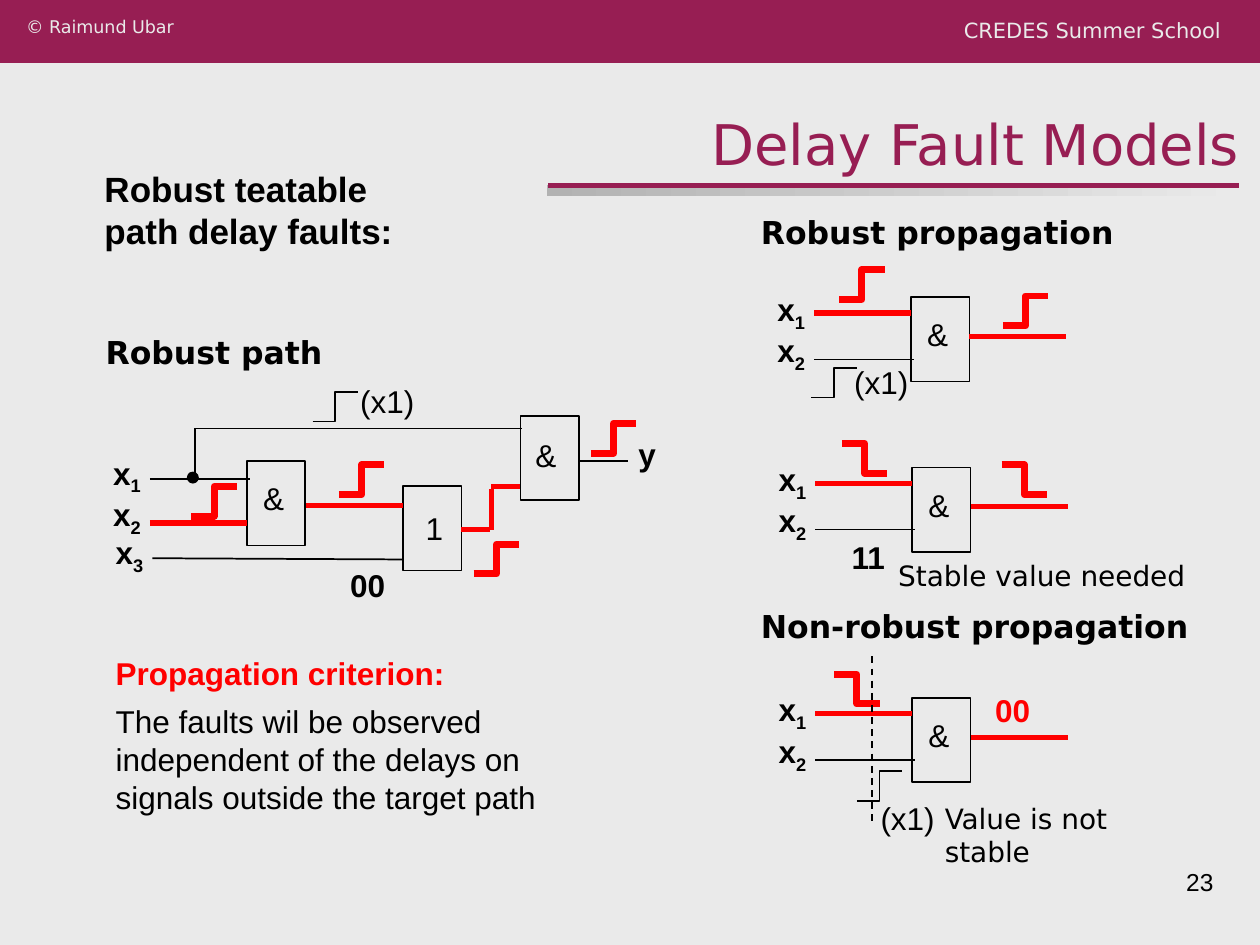
import pptx
import pptx.dml.color
import pptx.enum.dml
import pptx.enum.shapes
import pptx.enum.text
import pptx.oxml.ns
import pptx.util
from lxml import etree

Pt = pptx.util.Pt
ALIGN = pptx.enum.text.PP_ALIGN
ANCHOR = pptx.enum.text.MSO_ANCHOR
SHAPE = pptx.enum.shapes.MSO_SHAPE
CONNECTOR = pptx.enum.shapes.MSO_CONNECTOR

COLORS = {
    "paper": "EAEAEA",
    "plum": "971E53",
    "gray": "B2B2B2",
    "black": "000000",
    "red": "FF0000",
}
SANS, WIDE = "Arial", "DejaVu Sans"
GATE_WIDTH, GATE_HEIGHT = 33.4, 48.2
STEP_WIDTH, STEP_HEIGHT = 26, 17


def rgb(color):
    return pptx.dml.color.RGBColor.from_string(COLORS[color])


def style_paragraph(paragraph, size, font, color, bold, align=None):
    paragraph.alignment = align
    for run in paragraph.runs:
        run.font.size = Pt(size)
        run.font.name = font
        run.font.bold = bold
        run.font.color.rgb = rgb(color)


def add_text(slide, text, left, top, width, height, size=18, font=SANS,
             color="black", bold=False, align=None, middle=False, wrap=True):
    box = slide.shapes.add_textbox(Pt(left), Pt(top), Pt(width), Pt(height))
    frame = box.text_frame
    frame.word_wrap = wrap
    frame.vertical_anchor = ANCHOR.MIDDLE if middle else ANCHOR.TOP
    frame.text = text
    style_paragraph(frame.paragraphs[0], size, font, color, bold, align)
    return frame


def add_signal_name(slide, index, left, top):
    """Write x with a subscript index."""
    frame = add_text(slide, "x", left, top, 31.7, 31.7, bold=True, middle=True)
    paragraph = frame.paragraphs[0]
    subscript = paragraph.add_run()
    subscript.text = str(index)
    style_paragraph(paragraph, 18, SANS, "black", True)
    subscript.font._element.set("baseline", "-25000")


def add_block(slide, kind, left, top, width, height, fill, line=None):
    block = slide.shapes.add_shape(kind, Pt(left), Pt(top), Pt(width), Pt(height))
    block.shadow.inherit = False
    block.fill.solid()
    block.fill.fore_color.rgb = rgb(fill)
    if line:
        block.line.color.rgb = rgb(line)
        block.line.width = Pt(1)
    else:
        block.line.fill.background()
    return block


def add_wire(slide, x1, y1, x2, y2, color="black", width=1,
             kind=CONNECTOR.STRAIGHT, dashed=False):
    wire = slide.shapes.add_connector(kind, Pt(x1), Pt(y1), Pt(x2), Pt(y2))
    wire.line.color.rgb = rgb(color)
    wire.line.width = Pt(width)
    if dashed:
        wire.line.dash_style = pptx.enum.dml.MSO_LINE.DASH
    etree.SubElement(wire._element.spPr, pptx.oxml.ns.qn("a:effectLst"))


def add_step(slide, left, top, color="red", rising=True):
    """Draw a signal edge, thick on the path under test."""
    start, end = top, top + STEP_HEIGHT
    if rising:
        start, end = end, start
    add_wire(slide, left, start, left + STEP_WIDTH, end, color,
             4 if color == "red" else 1, CONNECTOR.ELBOW)


def add_gate(slide, left, top, sign="&", dx=2.2, dy=6.8):
    add_block(slide, SHAPE.RECTANGLE, left, top, GATE_WIDTH, GATE_HEIGHT,
              "paper", "black")
    add_text(slide, sign, left + dx, top + dy, 25.5, 28.8,
             middle=True, wrap=False)


def add_and_example(slide, left, top):
    """Draw an AND gate with inputs x1 and x2 and a red output."""
    add_gate(slide, left, top)
    input_start, output_start = left - 55.4, left + GATE_WIDTH
    add_wire(slide, input_start, top + 9, left, top + 9, "red", 3)
    add_wire(slide, input_start, top + 35.5, left + 1.8, top + 35.5)
    add_wire(slide, output_start, top + 22.5, output_start + 55.4, top + 22.5,
             "red", 3)
    for index, offset in ((1, -7.9), (2, 15.8)):
        add_signal_name(slide, index, left - 83.5, top + offset)


def add_header(slide):
    add_block(slide, SHAPE.RECTANGLE, 0, 0, 720, 36, "plum")
    underline = add_block(slide, SHAPE.RECTANGLE, 312.5, 105.8, 396.7, 6.5, "gray")
    underline.fill.gradient()
    underline.fill.gradient_angle = 0
    for stop, color in zip(underline.fill.gradient_stops, ("gray", "paper")):
        stop.color.rgb = rgb(color)
    add_wire(slide, 313.2, 105.8, 707.8, 105.8, "plum", 3)
    add_text(slide, "CREDES Summer School", 533.5, 6.5, 171.4, 23, 12, WIDE,
             "paper", align=ALIGN.RIGHT, wrap=False)
    add_text(slide, "© Raimund Ubar", 7.9, 5.8, 171.4, 23, 10, WIDE,
             "paper", wrap=False)

    title = slide.shapes.title
    title.left, title.top, title.width, title.height = (
        Pt(103.7), Pt(58.3), Pt(612), Pt(46.1))
    frame = title.text_frame
    frame.text = "Delay Fault Models"
    frame.auto_size = pptx.enum.text.MSO_AUTO_SIZE.NONE
    frame.vertical_anchor = ANCHOR.BOTTOM
    style_paragraph(frame.paragraphs[0], 32, WIDE, "plum", False, ALIGN.RIGHT)


def add_robust_path(slide):
    add_text(slide, "Robust teatable path delay faults:", 52.6, 92.2, 203, 79.2,
             20, bold=True)
    add_text(slide, "Robust path", 53.3, 186.5, 192.2, 28.8, font=WIDE, bold=True)

    add_gate(slide, 297.4, 237.6, dx=1.4, dy=7.9)
    add_gate(slide, 230.4, 277.9, "1", dx=5.8, dy=9.4)
    add_gate(slide, 141.1, 263.5)
    for ends in ((85.7, 298.8, 141.1, 298.8), (175, 288.7, 230.4, 288.7),
                 (263.5, 302.4, 280.1, 302.4), (280.8, 277.9, 297.4, 277.9),
                 (280.8, 279.4, 280.8, 303.1)):
        add_wire(slide, *ends, "red", 3)
    for ends in ((87.1, 319, 230.4, 319.7), (331.2, 263.5, 358.6, 263.5),
                 (111.6, 244.8, 298.1, 244.8), (111.6, 272.9, 111.6, 244.8),
                 (85.7, 273.6, 142.6, 273.6)):
        add_wire(slide, *ends)
    add_block(slide, SHAPE.OVAL, 107.3, 270, 5.8, 5.8, "black", "black")

    for index, left, top in ((1, 57.6, 255.6), (2, 57.6, 279.4), (3, 59, 301)):
        add_signal_name(slide, index, left, top)
    add_text(slide, "y", 357.8, 244.8, 31.7, 28.8, bold=True, middle=True)
    add_text(slide, "(x1)", 198.7, 214.6, 45.4, 28.8, middle=True)
    add_text(slide, "00", 193, 319.7, 40.3, 28.8, bold=True, middle=True)
    add_step(slide, 178.6, 223.9, "black")
    for left, top in ((109.4, 277.9), (193.7, 265.7), (270.7, 311), (337.7, 241.9)):
        add_step(slide, left, top)


def add_criterion(slide):
    frame = add_text(slide, "Propagation criterion:", 59, 370.1, 301, 100,
                     color="red", bold=True)
    frame.paragraphs[0].space_after = Pt(6)
    explanation = frame.add_paragraph()
    explanation.text = ("The faults wil be observed independent of the delays "
                        "on signals outside the target path")
    style_paragraph(explanation, 18, SANS, "black", False)


def add_propagation_examples(slide):
    for heading, top in (("Robust propagation", 118.1),
                         ("Non-robust propagation", 343.4)):
        add_text(slide, heading, 427.7, top, 266.4, 28.8, font=WIDE, bold=True)
    for left, top in ((520.6, 169.9), (521.3, 267.1), (521.3, 398.9)):
        add_and_example(slide, left, top)

    for left, top in ((479.5, 154.1), (573.1, 169.2)):
        add_step(slide, left, top)
    for left, top in ((481, 253.4), (572.4, 265.7), (476.6, 385.2)):
        add_step(slide, left, top, rising=False)
    for left, top in ((463.7, 210.2), (489.6, 440.6)):
        add_step(slide, left, top, "black")
    add_wire(slide, 498.2, 375.1, 498.2, 470.2, dashed=True)

    for left, top in ((481, 203.8), (496.1, 452.9)):
        add_text(slide, "(x1)", left, top, 45.4, 28.8, middle=True)
    add_text(slide, "11", 479.5, 303.8, 44.6, 28.8, bold=True, middle=True)
    add_text(slide, "00", 561.6, 391, 43.9, 28.8, color="red", bold=True, middle=True)
    add_text(slide, "Stable value needed", 506.2, 315.4, 190.1, 26.6, 16, WIDE)
    add_text(slide, "Value is not stable", 532.8, 454.3, 139, 46.1, 16, WIDE)


def main():
    deck = pptx.Presentation()
    deck.slide_width, deck.slide_height = Pt(720), Pt(540)
    slide = deck.slides.add_slide(deck.slide_layouts[5])
    slide.background.fill.solid()
    slide.background.fill.fore_color.rgb = rgb("paper")
    add_header(slide)
    add_robust_path(slide)
    add_criterion(slide)
    add_propagation_examples(slide)
    add_text(slide, "23", 516.2, 491.8, 184.3, 37.4, 14, align=ALIGN.RIGHT)
    deck.save("out.pptx")


if __name__ == "__main__":
    main()
